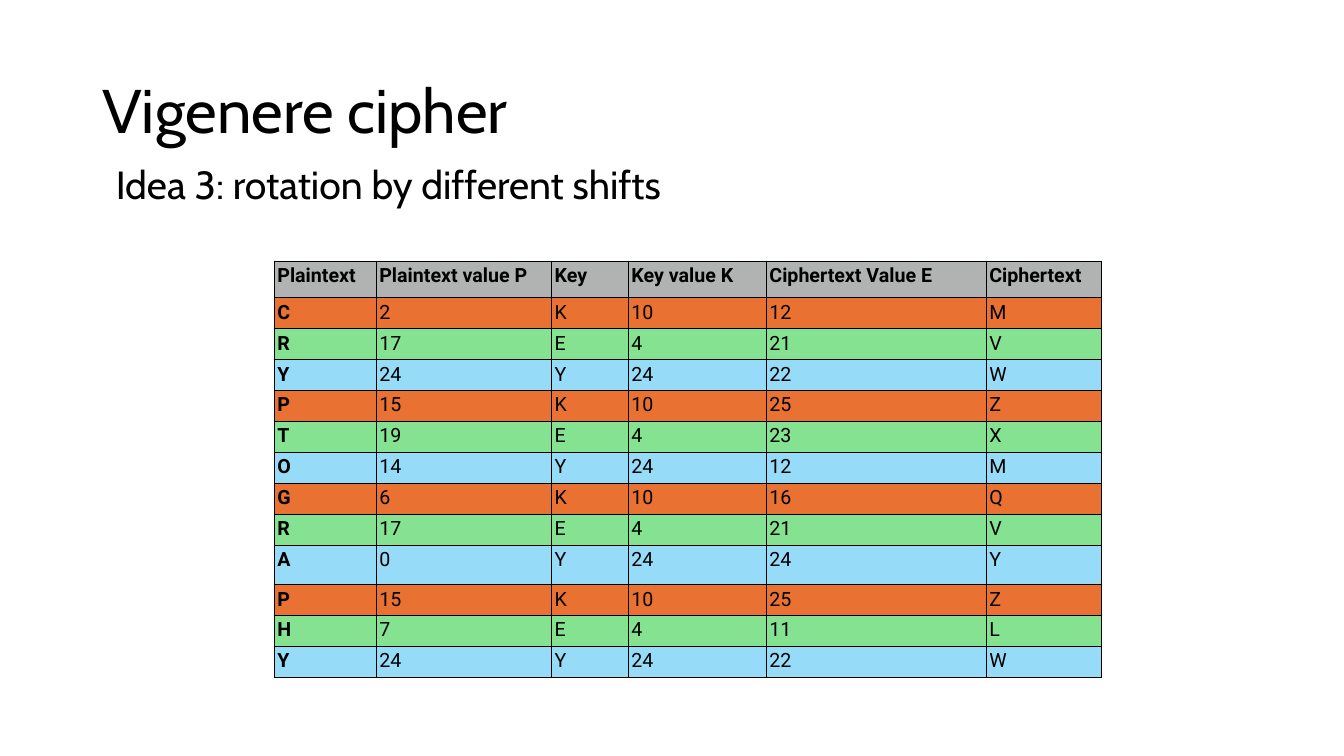
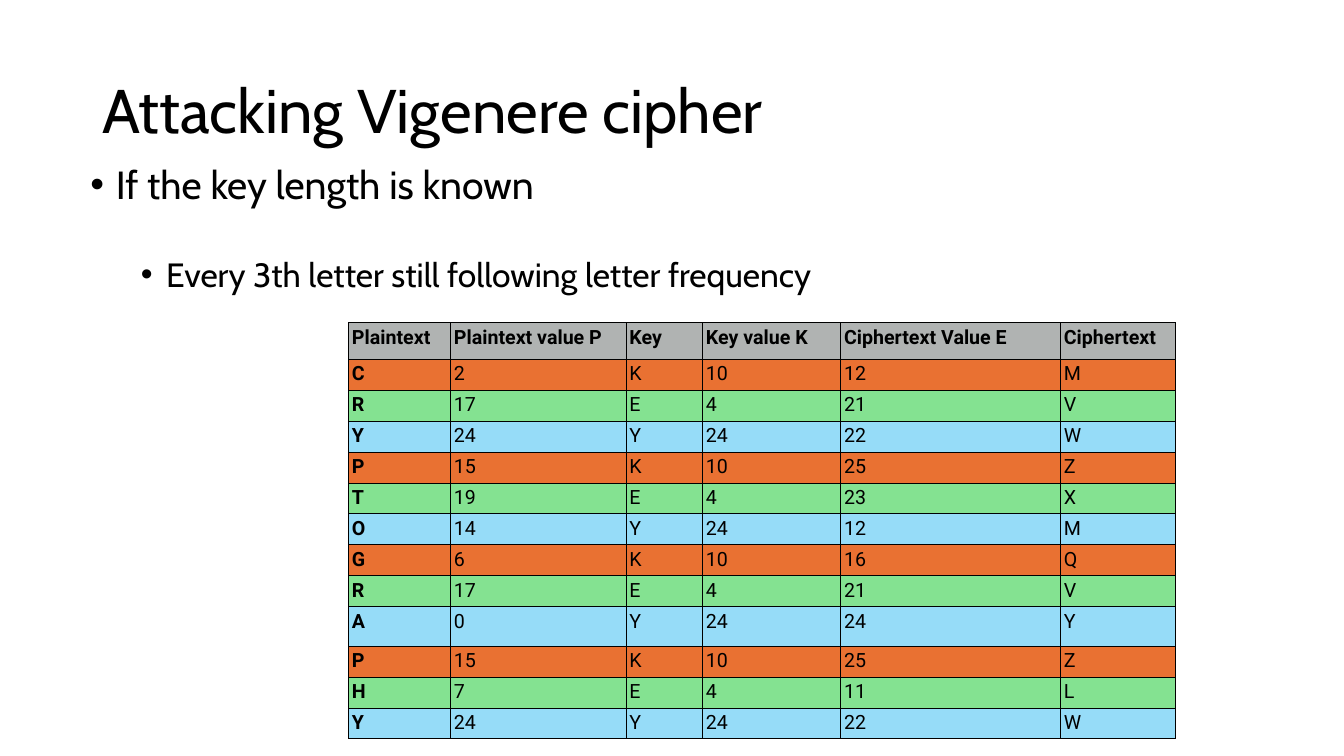
from dataclasses import dataclass
from itertools import cycle

from pptx import Presentation
from pptx.dml.color import RGBColor
from pptx.enum.text import MSO_ANCHOR
from pptx.oxml import parse_xml
from pptx.oxml.ns import nsdecls
from pptx.slide import Slide
from pptx.text.text import Font
from pptx.util import Cm, Pt

# Shared look
INK, HEAD = "000000", "B0B3B2"
BANDS = ("E97132", "84E291", "96DCF8")
SANS, GRID = "Cabin", "Roboto"
WIDE = 29.21
COLS = (2.57, 4.42, 1.93, 3.48, 5.54, 2.9)
HEAD_H, ROW_H, TALL_H = 0.92, 0.78, 0.99
INSET = 0.08

# Cipher data
WORD, KEY = "CRYPTOGRAPHY", "KEY"
TITLES = ("Plaintext", "Plaintext value P", "Key", "Key value K",
          "Ciphertext Value E", "Ciphertext")


@dataclass
class Line:
    text: str
    size: int = 28
    left: float = 0.0  # text indent in cm
    mark: bool = False
    level: int = 0
    before: int = 0


@dataclass
class Page:
    title: str
    body: tuple[float, float]  # left and height in cm
    lines: list[Line]
    table: tuple[float, float]  # left and top in cm


PAGES = [
    Page("Vigenere cipher", (2.67, 2.46),
         [Line("Idea 3: rotation by different shifts")], (6.91, 6.58)),
    Page("Attacking Vigenere cipher", (2.03, 12.09),
         [Line("If the key length is known", left=0.64, mark=True),
          Line("Every 3th letter still following letter frequency", size=24,
               left=1.91, mark=True, level=1, before=36)], (8.79, 8.13)),
]


def paint(code: str) -> RGBColor:
    return RGBColor.from_string(code)


def style(font: Font, name: str, size: int, bold: bool = False) -> None:
    font.name, font.size, font.bold = name, Pt(size), bold
    font.color.rgb = paint(INK)


def add_text(slide: Slide, left: float, top: float, high: float,
             lines: list[Line], anchor: MSO_ANCHOR = MSO_ANCHOR.TOP) -> None:
    box = slide.shapes.add_textbox(Cm(left), Cm(top), Cm(WIDE), Cm(high))
    frame = box.text_frame
    frame.word_wrap, frame.vertical_anchor = True, anchor
    for i, line in enumerate(lines):
        par = frame.add_paragraph() if i else frame.paragraphs[0]
        par.text, par.level, par.line_spacing = line.text, line.level, 0.9
        if line.before:
            par.space_before = Pt(line.before)
        if line.mark:
            props = par._p.get_or_add_pPr()
            props.set("marL", str(Cm(line.left)))
            props.set("indent", str(-Cm(0.64)))
            for tag in ('buFont typeface="Arial"', 'buChar char="•"'):
                props.append(parse_xml(f'<a:{tag} {nsdecls("a")}/>'))
        style(par.font, SANS, line.size)


def cipher() -> list[tuple[str, ...]]:
    """Shift each letter of the word by the matching key letter."""
    rows = []
    for char, key in zip(WORD, cycle(KEY)):
        plain, shift = ord(char) - ord("A"), ord(key) - ord("A")
        code = (plain + shift) % 26
        rows.append((char, str(plain), key, str(shift), str(code),
                     chr(code + ord("A"))))
    return rows


def add_grid(slide: Slide, left: float, top: float) -> None:
    rows = [TITLES, *cipher()]
    highs = [HEAD_H] + [TALL_H if c == "A" else ROW_H for c in WORD]
    table = slide.shapes.add_table(
        len(rows), len(COLS), Cm(left), Cm(top),
        Cm(sum(COLS)), Cm(sum(highs))).table
    table.first_row = table.horz_banding = False
    for col, wide in zip(table.columns, COLS):
        col.width = Cm(wide)
    for r, (row, high) in enumerate(zip(rows, highs)):
        table.rows[r].height = Cm(high)
        fill = BANDS[(r - 1) % len(BANDS)] if r else HEAD
        for c, text in enumerate(row):
            cell = table.cell(r, c)
            cell.margin_left = cell.margin_right = Cm(INSET)
            cell.margin_top = cell.margin_bottom = Cm(INSET)
            # Borders go ahead of the fill
            props = cell._tc.get_or_add_tcPr()
            for side in "LRTB":
                props.append(parse_xml(
                    f'<a:ln{side} {nsdecls("a")} w="{Pt(0.75)}"><a:solidFill>'
                    f'<a:srgbClr val="{INK}"/></a:solidFill></a:ln{side}>'))
            cell.fill.solid()
            cell.fill.fore_color.rgb = paint(fill)
            cell.text = text
            style(cell.text_frame.paragraphs[0].font, GRID, 14,
                  r == 0 or c == 0)


def main() -> None:
    deck = Presentation()
    deck.slide_width, deck.slide_height = Cm(33.87), Cm(19.05)
    for page in PAGES:
        slide = deck.slides.add_slide(deck.slide_layouts[6])
        add_text(slide, 2.33, 1.02, 3.68, [Line(page.title, 44)],
                 MSO_ANCHOR.MIDDLE)
        left, high = page.body
        add_text(slide, left, 4.04, high, page.lines)
        add_grid(slide, *page.table)
    deck.save("out.pptx")


if __name__ == "__main__":
    main()
